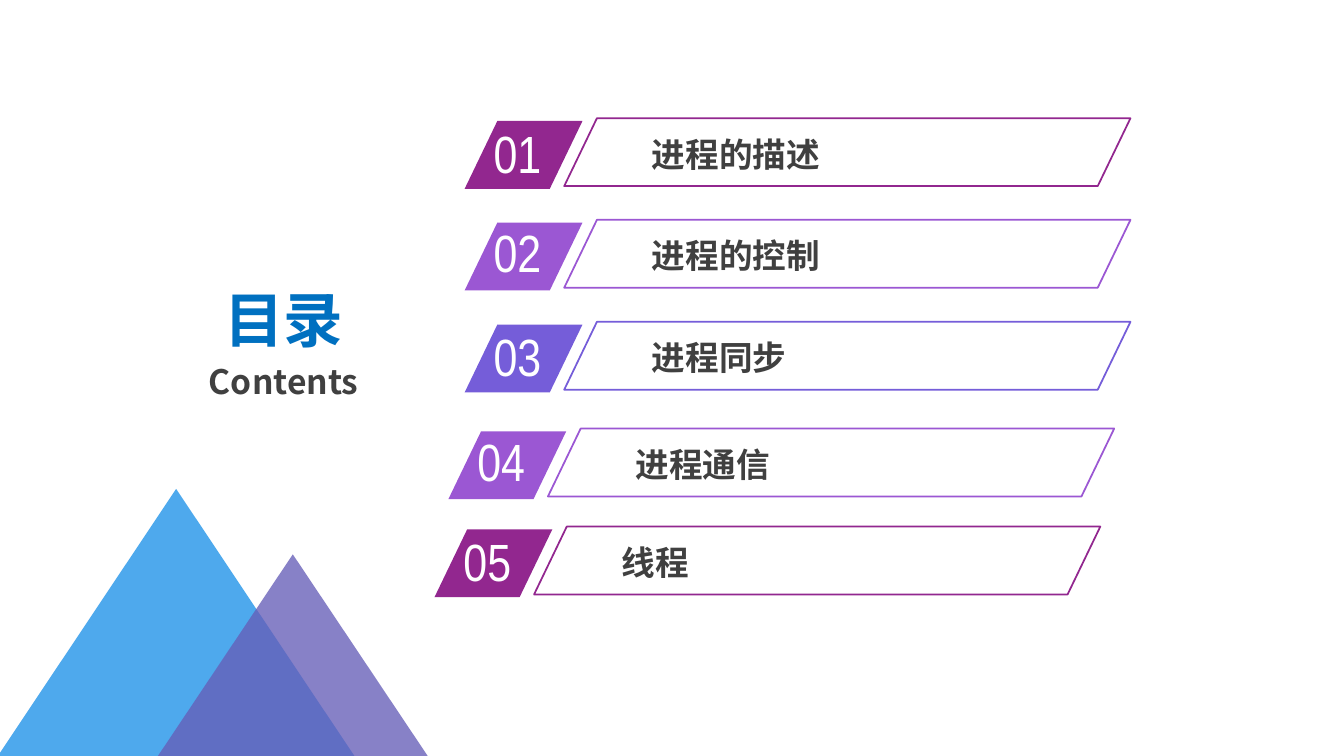
"""Build a table-of-contents slide with five slanted entries and two peaks."""
from dataclasses import dataclass

from lxml.etree import SubElement
from pptx import Presentation
from pptx.dml.color import RGBColor
from pptx.enum.shapes import MSO_SHAPE
from pptx.enum.text import MSO_ANCHOR, PP_ALIGN
from pptx.oxml.ns import qn
from pptx.shapes.autoshape import Shape
from pptx.slide import Slide
from pptx.text.text import _Paragraph as Paragraph
from pptx.util import Cm, Pt

COLORS = {
    "magenta": "92278F",
    "orchid": "9B57D3",
    "violet": "755DD9",
    "sky": "45A5ED",
    "indigo": "665EB8",
    "title": "0070C0",
    "text": "404040",
    "white": "FFFFFF",
}
CJK_FONT = "Noto Sans CJK SC"
NUMBER_FONT = "Arial Narrow"
SLANT = 0.482
BAR_HEIGHT = 1.71


@dataclass(frozen=True)
class Entry:
    label: str
    color: str
    left: float
    top: float
    number_rise: float


@dataclass(frozen=True)
class Peak:
    color: str
    opacity: int
    left: float
    top: float
    width: float
    height: float


ENTRIES = [
    Entry("进程的描述", "magenta", 11.71, 3.05, 0.13),
    Entry("进程的控制", "orchid", 11.71, 5.61, 0.18),
    Entry("进程同步", "violet", 11.71, 8.18, 0.13),
    Entry("进程通信", "orchid", 11.3, 10.87, 0.18),
    Entry("线程", "magenta", 10.95, 13.34, 0.13),
]
PEAKS = [
    Peak("sky", 95, -0.36, 12.32, 9.6, 7.19),
    Peak("indigo", 78, 3.76, 13.97, 7.24, 5.41),
]


def rgb(color: str) -> RGBColor:
    return RGBColor.from_string(COLORS[color])


def add_outline_shape(slide: Slide, kind: MSO_SHAPE, left: float, top: float,
                      width: float, height: float) -> Shape:
    shape = slide.shapes.add_shape(kind, Cm(left), Cm(top), Cm(width), Cm(height))
    shape.shadow.inherit = False
    return shape


def fill_shape(shape: Shape, color: str) -> None:
    shape.fill.solid()
    shape.fill.fore_color.rgb = rgb(color)
    shape.line.fill.background()


def style_paragraph(paragraph: Paragraph, font_name: str, size: float,
                    color: str, bold: bool) -> None:
    font = paragraph.font
    font.name, font.size, font.bold = font_name, Pt(size), bold
    font.color.rgb = rgb(color)
    properties = paragraph._p.get_or_add_pPr().find(qn("a:defRPr"))
    SubElement(properties, qn("a:ea")).set("typeface", font_name)
    for run in paragraph.runs:
        run.font.name, run.font.size, run.font.bold = font_name, Pt(size), bold
        run.font.color.rgb = rgb(color)
        SubElement(run._r.get_or_add_rPr(), qn("a:ea")).set("typeface", font_name)


def add_text(slide: Slide, text: str, left: float, top: float, width: float,
             height: float, font_name: str, size: float, color: str, bold: bool) -> Shape:
    box = slide.shapes.add_textbox(Cm(left), Cm(top), Cm(width), Cm(height))
    box.text_frame.word_wrap = True
    paragraph = box.text_frame.paragraphs[0]
    paragraph.text = text
    style_paragraph(paragraph, font_name, size, color, bold)
    return box


def add_title(slide: Slide) -> None:
    box = add_text(slide, "目录", 2.97, 7.7, 8.36, 1.83, CJK_FONT, 42.6, "title", True)
    frame = box.text_frame
    frame.vertical_anchor = MSO_ANCHOR.MIDDLE
    subtitle = frame.add_paragraph()
    subtitle.text = "Contents"
    subtitle.space_before = Pt(4.8)
    style_paragraph(subtitle, CJK_FONT, 24, "text", True)
    for paragraph in frame.paragraphs:
        paragraph.alignment = PP_ALIGN.CENTER


def add_entry(slide: Slide, number: int, entry: Entry) -> None:
    tag = add_outline_shape(slide, MSO_SHAPE.PARALLELOGRAM, entry.left, entry.top,
                            2.97, BAR_HEIGHT)
    tag.adjustments[0] = SLANT
    fill_shape(tag, entry.color)
    add_text(slide, f"{number:02d}", entry.left + 0.48, entry.top - entry.number_rise,
             2.84, 1.85, NUMBER_FONT, 37.4, "white", False)

    add_text(slide, entry.label, entry.left + 4.47, entry.top + 0.19,
             10.46, 1.27, CJK_FONT, 24, "text", True)
    bar = add_outline_shape(slide, MSO_SHAPE.PARALLELOGRAM, entry.left + 2.51,
                            entry.top - 0.07, 14.27, BAR_HEIGHT)
    bar.adjustments[0] = SLANT
    bar.fill.background()
    bar.line.color.rgb = rgb(entry.color)
    bar.line.width = Pt(1.25)


def add_peak(slide: Slide, peak: Peak) -> None:
    triangle = add_outline_shape(slide, MSO_SHAPE.ISOSCELES_TRIANGLE, peak.left,
                                 peak.top, peak.width, peak.height)
    fill_shape(triangle, peak.color)
    color = triangle._element.spPr.find(qn("a:solidFill"))[0]
    SubElement(color, qn("a:alpha")).set("val", str(peak.opacity * 1000))


def main() -> None:
    presentation = Presentation()
    presentation.slide_width, presentation.slide_height = Cm(33.87), Cm(19.05)
    slide = presentation.slides.add_slide(presentation.slide_layouts[6])
    add_title(slide)
    for peak in PEAKS:
        add_peak(slide, peak)
    for number, entry in enumerate(ENTRIES, start=1):
        add_entry(slide, number, entry)
    presentation.save("out.pptx")


if __name__ == "__main__":
    main()
